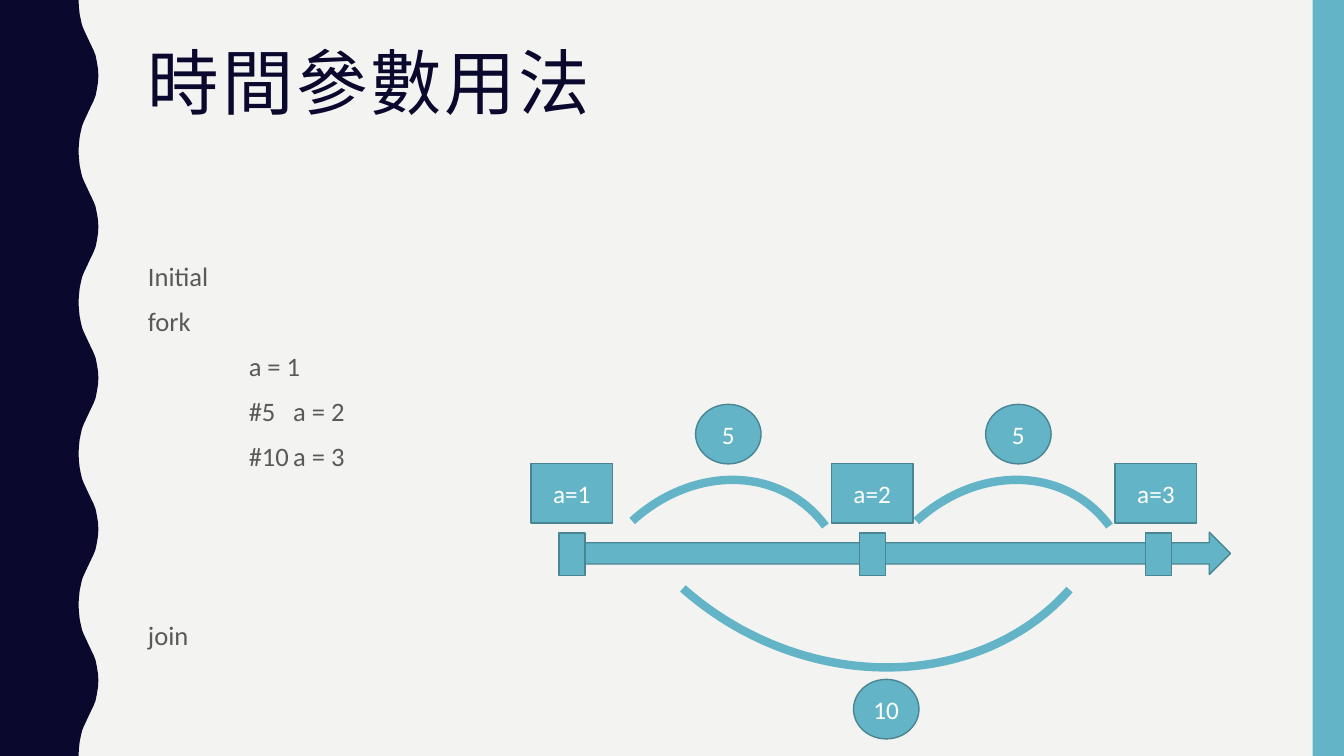
import pptx
import pptx.util
import pptx.dml.color
import pptx.enum.shapes
import pptx.enum.text
from lxml import etree

Cm, Pt = pptx.util.Cm, pptx.util.Pt
SHAPE = pptx.enum.shapes.MSO_SHAPE
ALIGN = pptx.enum.text.PP_ALIGN
ANCHOR = pptx.enum.text.MSO_ANCHOR
NS = "http://schemas.openxmlformats.org/drawingml/2006/main"

NAVY, TEAL, EDGE = "0B082E", "62B4C6", "498592"
PAPER, GRAY, WHITE = "F3F3F2", "595959", "FFFFFF"
SLIDE_W, SLIDE_H = 33.87, 19.05


def paint(fmt, color):
    """Set a fill or font colour from a hex string."""
    rgb = pptx.dml.color.RGBColor.from_string(color)
    if hasattr(fmt, "solid"):
        fmt.solid()
        fmt.fore_color.rgb = rgb
    else:
        fmt.color.rgb = rgb


def style_run(r, size, color, font="Calibri"):
    r.font.size = Pt(size)
    r.font.name = font
    paint(r.font, color)


def add_shape(s, kind, x, y, w, h, text="", edge=EDGE):
    sp = s.shapes.add_shape(kind, Cm(x), Cm(y), Cm(w), Cm(h))
    sp.shadow.inherit = False
    paint(sp.fill, TEAL)
    if edge:
        paint(sp.line.fill, edge)
        sp.line.width = Pt(1)
    else:
        sp.line.fill.background()
    if text:
        tf = sp.text_frame
        tf.text = text
        tf.vertical_anchor = ANCHOR.MIDDLE
        p = tf.paragraphs[0]
        p.alignment = ALIGN.CENTER
        style_run(p.runs[0], 18, WHITE)
    return sp


def add_arc(s, x, y, w, h, rotation, start):
    sp = add_shape(s, SHAPE.ARC, x, y, w, h, edge=TEAL)
    sp.fill.background()
    sp.line.width = Pt(6)
    sp.rotation = rotation
    sp.adjustments[0] = start
    sp.adjustments[1] = 8.11


def add_text(s, x, y, w, h, lines):
    tf = s.shapes.add_textbox(Cm(x), Cm(y), Cm(w), Cm(h)).text_frame
    tf.word_wrap = True
    tf.text = "\n".join(lines)
    return tf.paragraphs


def set_tabs(p, *stops):
    tabs = etree.SubElement(p._p.get_or_add_pPr(), f"{{{NS}}}tabLst")
    for stop in stops:
        etree.SubElement(tabs, f"{{{NS}}}tab", pos=str(Cm(stop)), algn="l")


def add_wave(s):
    """Left band whose right edge repeats one bulge five times."""
    period, count = SLIDE_H / 5, 5
    rise = [(1.98, 0), (1.99, 0.18), (2.01, 0.36), (2.04, 0.51), (2.07, 0.64),
            (2.11, 0.74), (2.26, 1.06), (2.36, 1.27), (2.41, 1.4),
            (2.44, 1.55), (2.47, 1.73), (2.48, 1.905)]
    bulge = rise + [(x, period - y) for x, y in reversed(rise[:-1])]
    edge = [(x, y + i * period) for i in range(count) for x, y in bulge]
    fb = s.shapes.build_freeform(0, 0)
    fb.add_line_segments([(Cm(x), Cm(y)) for x, y in edge + [(0, SLIDE_H)]])
    sp = fb.convert_to_shape()
    sp.shadow.inherit = False
    paint(sp.fill, NAVY)
    sp.line.fill.background()


def add_title(s):
    p = add_text(s, 3.48, 1.07, 28.27, 4.14, ["時間參數用法"])[0]
    p.line_spacing = 0.9
    style_run(p.runs[0], 51, NAVY, "Arial Narrow")
    p.runs[0].font._element.set("spc", "200")


def add_code(s):
    lines = ["Initial", "fork", "\ta = 1", "\t#5\ta = 2", "\t#10\ta = 3", "join"]
    for p in add_text(s, 3.48, 6.35, 28.27, 9.98, lines):
        p.line_spacing = 1.1
        # The closing keyword stands three lines lower
        p.space_before = Pt(103 if p.text == "join" else 7)
        set_tabs(p, 2.54, 3.66)
        for r in p.runs:
            style_run(r, 19, GRAY)


def add_timeline(s):
    add_shape(s, SHAPE.RIGHT_ARROW, 14.25, 13.41, 16.76, 1.07)
    # Values and their ticks
    for text, x in [("a=1", 13.38), ("a=2", 20.95), ("a=3", 28.1)]:
        add_shape(s, SHAPE.RECTANGLE, x, 11.68, 2.06, 1.5, text)
    for x in (13.97, 21.54, 28.75):
        add_shape(s, SHAPE.MATH_MINUS, x, 11.68, 0.89, 4.57)
    # Delays
    for x in (14.2, 21.36):
        add_arc(s, x, 12.45, 7.54, 6.48, 305.8, 171.41)
    add_arc(s, 15.42, 3.45, 12.24, 14, 121.2, 166.78)
    for text, x, y in [("5", 17.53, 10.19), ("5", 24.84, 10.19), ("10", 21.51, 17.12)]:
        add_shape(s, SHAPE.OVAL, x, y, 1.65, 1.5, text)


def main():
    prs = pptx.Presentation()
    prs.slide_width, prs.slide_height = Cm(SLIDE_W), Cm(SLIDE_H)
    s = prs.slides.add_slide(prs.slide_layouts[6])

    # Background and side bands
    paint(s.background.fill, PAPER)
    add_wave(s)
    add_shape(s, SHAPE.RECTANGLE, 33.08, 0, 0.79, SLIDE_H, edge=None)

    # Content
    add_title(s)
    add_code(s)
    add_timeline(s)
    prs.save("out.pptx")


main()
